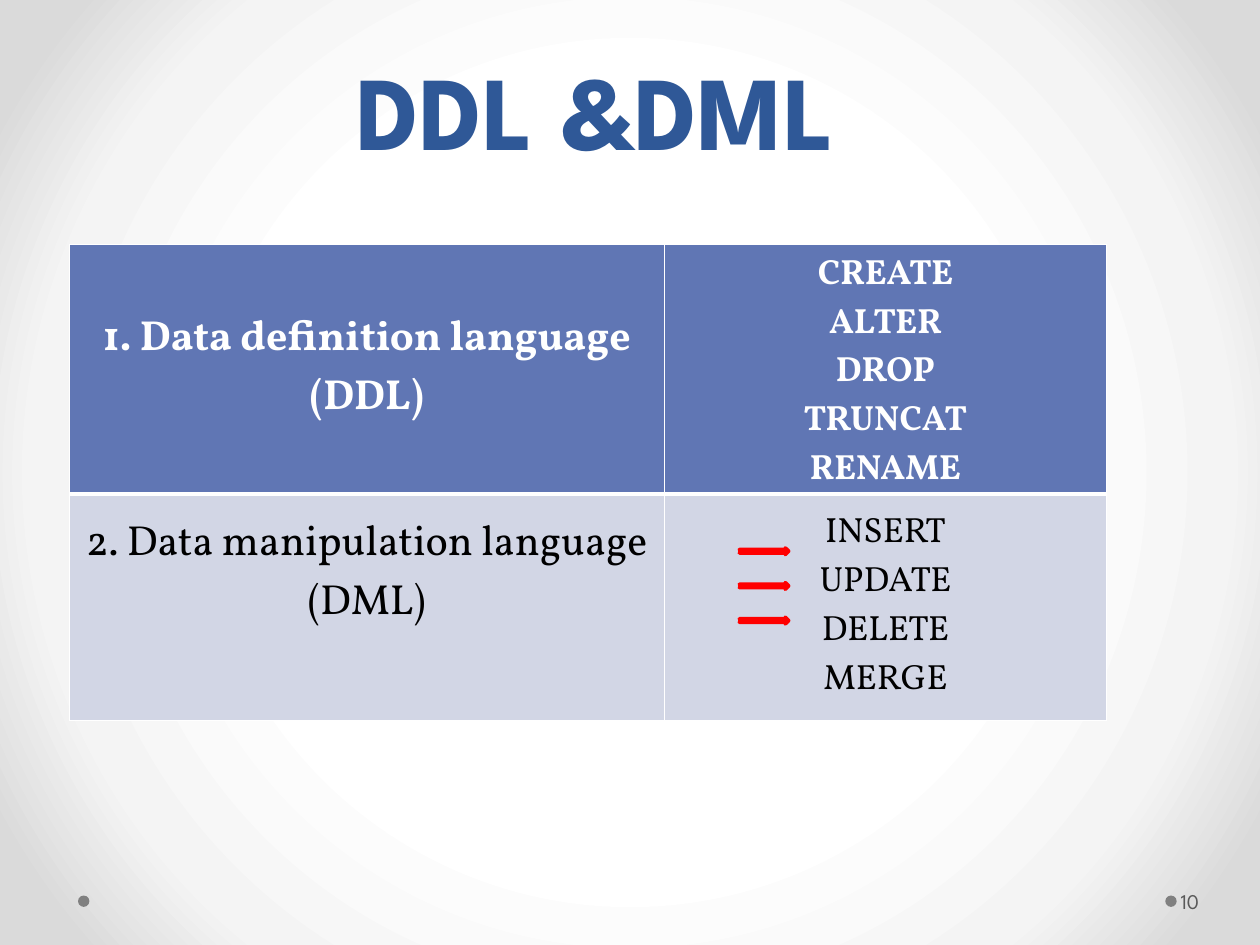
import pptx
import pptx.util
import pptx.dml.color
import pptx.enum.shapes
import pptx.enum.text
import pptx.oxml
import pptx.oxml.ns

Pt = pptx.util.Pt
SHAPES = pptx.enum.shapes.MSO_SHAPE
ANCHOR = pptx.enum.text.MSO_ANCHOR
ALIGN = pptx.enum.text.PP_ALIGN
NAMESPACE = pptx.oxml.ns.nsdecls("a", "p")

HEADING = {"name": "League Spartan", "size": Pt(60), "bold": True}
PAGE = {"name": "League Spartan", "size": Pt(12), "bold": False}
LANGUAGE = {"name": "Vollkorn", "size": Pt(24)}
COMMAND = {"name": "Vollkorn", "size": Pt(20)}

LANGUAGES = [
    {
        "name": "1. Data definition language (DDL)",
        "commands": ["CREATE", "ALTER", "DROP", "TRUNCAT", "RENAME"],
        "fill": "6076B4", "ink": "FFFFFF", "bold": True,
        "height": 142.5, "rule": 3, "lift": 3.6,
    },
    {
        "name": "2. Data manipulation language (DML)",
        "commands": ["INSERT", "UPDATE", "DELETE", "MERGE"],
        "fill": "D2D6E5", "ink": "000000", "bold": False,
        "height": 129.5, "rule": 1, "lift": 41,
    },
]


def color(value):
    """Turn a hex string into a colour."""
    return pptx.dml.color.RGBColor.from_string(value)


def assign(target, values):
    """Set attributes of an object from a dict."""
    for key, value in values.items():
        setattr(target, key, value)


def write(frame, lines, font, ink, align, **settings):
    """Fill a text frame with one paragraph for each line."""
    assign(frame, settings)
    frame.text = "\n".join(lines)
    for paragraph in frame.paragraphs:
        paragraph.alignment = align
        for run in paragraph.runs:
            assign(run.font, font)
            run.font.color.rgb = color(ink)


def paint_background(slide):
    """Give the slide a round grey gradient."""
    stops = "".join(
        f'<a:gs pos="{position * 1000}"><a:srgbClr val="{shade}"/></a:gs>'
        for position, shade in [(50, "FFFFFF"), (76, "F4F4F4"), (92, "DADADA")]
    )
    background = pptx.oxml.parse_xml(
        f"<p:bg {NAMESPACE}><p:bgPr><a:gradFill rotWithShape='1'>"
        f"<a:gsLst>{stops}</a:gsLst><a:path path='circle'>"
        "<a:fillToRect l='50000' t='50000' r='50000' b='50000'/></a:path>"
        "</a:gradFill><a:effectLst/></p:bgPr></p:bg>"
    )
    slide.element.cSld.insert(0, background)


def add_solid(slide, preset, left, top, width, height, fill):
    """Add a plain filled shape without a line."""
    solid = slide.shapes.add_shape(
        preset, Pt(left), Pt(top), Pt(width), Pt(height))
    solid.shadow.inherit = False
    solid.fill.solid()
    solid.fill.fore_color.rgb = color(fill)
    solid.line.fill.background()
    return solid


def add_footer(slide, left, top, width, height):
    """Add two dots and the page number in the footer box."""
    dot, number_width = 6.5, 44
    number_left = left + width - number_width
    for dot_left in (left, number_left - dot):
        add_solid(slide, SHAPES.OVAL, dot_left, top + (height - dot) / 2,
                  dot, dot, "808080")
    number = slide.shapes.add_textbox(
        Pt(number_left), Pt(top), Pt(number_width), Pt(height))
    write(number.text_frame, ["10"], PAGE, "595959", ALIGN.LEFT,
          word_wrap=True, vertical_anchor=ANCHOR.MIDDLE,
          margin_left=Pt(2.2), margin_right=Pt(3.6))


def place_title(slide, left, top, width, height):
    """Move and format the title placeholder."""
    title = slide.shapes.title
    assign(title, {"left": Pt(left), "top": Pt(top),
                   "width": Pt(width), "height": Pt(height)})
    write(title.text_frame, ["DDL &DML"], HEADING, "2F5897", ALIGN.CENTER,
          word_wrap=True, vertical_anchor=ANCHOR.BOTTOM,
          auto_size=pptx.enum.text.MSO_AUTO_SIZE.NONE)
    title.text_frame.paragraphs[0].line_spacing = Pt(58)


def add_borders(cell, widths):
    """Draw white cell borders from a dict of side and width."""
    properties = cell._tc.get_or_add_tcPr()
    for index, (side, width) in enumerate(widths.items()):
        properties.insert(index, pptx.oxml.parse_xml(
            f'<a:ln{side} {NAMESPACE} w="{Pt(width)}"><a:solidFill>'
            f'<a:srgbClr val="FFFFFF"/></a:solidFill></a:ln{side}>'))


def add_languages(slide, left, top, width, height):
    """Add the table of languages and their commands."""
    table = slide.shapes.add_table(
        len(LANGUAGES), 2, Pt(left), Pt(top), Pt(width), Pt(height)).table
    name_width = 340
    table.columns[0].width = Pt(name_width)
    table.columns[1].width = Pt(width - name_width)
    rule_above = 1
    for index, language in enumerate(LANGUAGES):
        table.rows[index].height = Pt(language["height"])
        entries = [([language["name"]], LANGUAGE, language["lift"]),
                   (language["commands"], COMMAND, 3.6)]
        for cell, (lines, font, lift) in zip(table.rows[index].cells, entries):
            write(cell.text_frame, lines, {**font, "bold": language["bold"]},
                  language["ink"], ALIGN.CENTER)
            assign(cell, {"vertical_anchor": ANCHOR.MIDDLE,
                          "margin_bottom": Pt(lift)})
            cell.fill.solid()
            cell.fill.fore_color.rgb = color(language["fill"])
            add_borders(cell, {"L": 1, "R": 1, "T": rule_above,
                               "B": language["rule"]})
        rule_above = language["rule"]


def add_command_arrows(slide, left, top, width, height):
    """Spread three red arrows evenly down the box."""
    count, thickness = 3, 3.6
    step = (height - thickness) / (count - 1)
    for index in range(count):
        arrow = add_solid(slide, SHAPES.NOTCHED_RIGHT_ARROW, left,
                          top + index * step, width, thickness, "FF0000")
        arrow.line.color.rgb = color("FF0000")
        arrow.line.width = Pt(2.25)


def main():
    """Build and save the slide."""
    deck = pptx.Presentation()
    assign(deck, {"slide_width": Pt(720), "slide_height": Pt(540)})
    slide = deck.slides.add_slide(deck.slide_layouts.get_by_name("Title Only"))
    paint_background(slide)
    add_footer(slide, 44.6, 500.5, 671.8, 29)
    place_title(slide, 39.6, 46, 602, 55.5)
    add_languages(slide, 39.6, 139.7, 592.8, 272)
    add_command_arrows(slide, 422.6, 313.2, 28, 43.2)
    deck.save("out.pptx")


if __name__ == "__main__":
    main()
